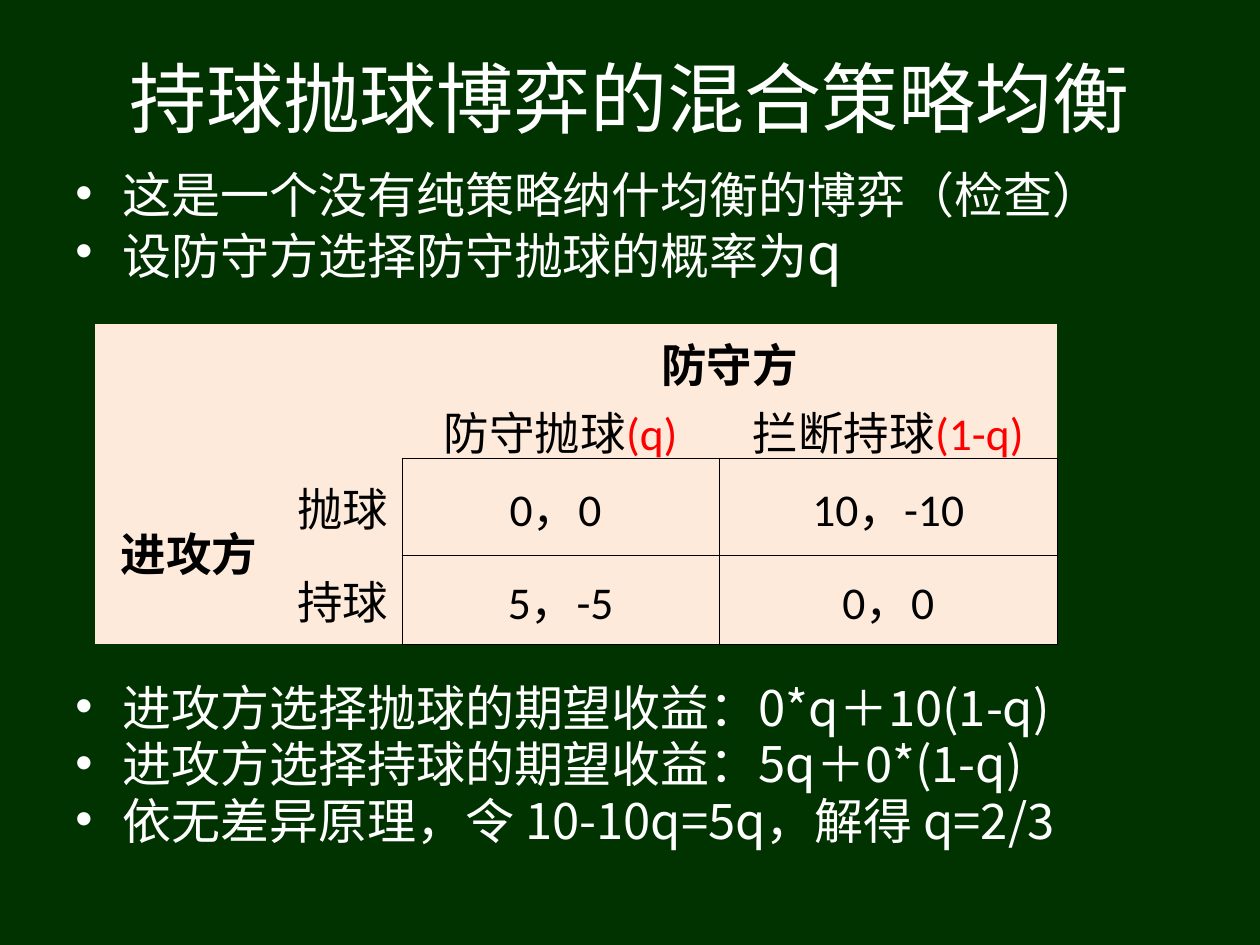
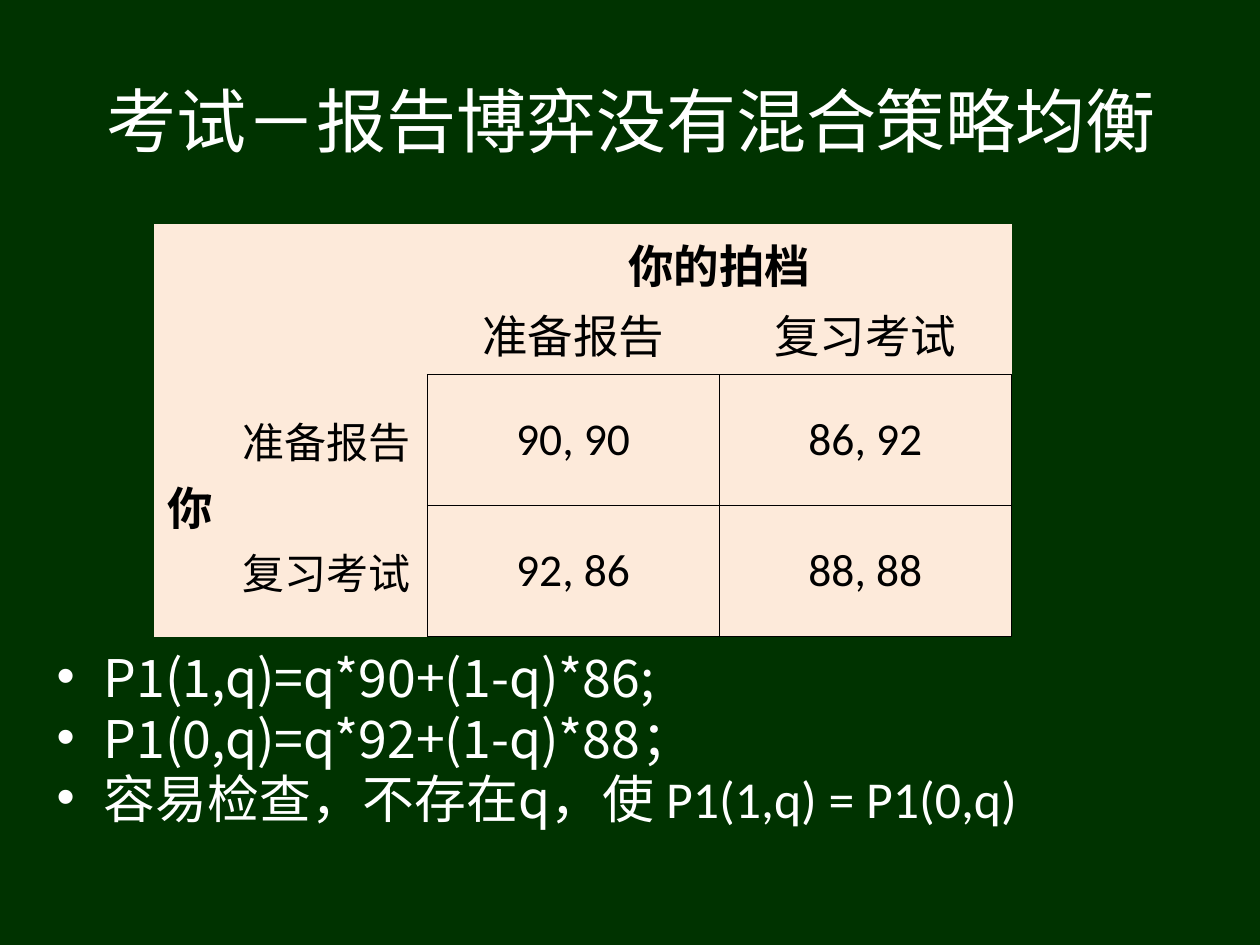
import pptx
import pptx.dml.color
import pptx.enum.text
import pptx.oxml
import pptx.oxml.ns
import pptx.util
from lxml import etree

Pt = pptx.util.Pt
CENTER = pptx.enum.text.PP_ALIGN.CENTER
MIDDLE = pptx.enum.text.MSO_ANCHOR.MIDDLE
CJK_FONT, LATIN_FONT = "Noto Sans CJK SC", "Calibri"
GREEN, WHITE, BLACK, RED, CREAM = "003300", "FFFFFF", "000000", "FF0000", "FDEADA"
PLAIN_TABLE_STYLE = "{2D5ABB26-0587-4C30-8999-92F81FD0307C}"
BULLET_INDENT = 27
BORDER_WIDTH = 0.45

TITLE_FORMAT = {"name": CJK_FONT, "color": WHITE}
BULLET_FORMAT = {"name": CJK_FONT, "color": WHITE}
CELL_FORMAT = {"name": LATIN_FONT, "size": 26, "color": BLACK, "bold": False}

SLIDES = [
    {
        "title": "持球抛球博弈的混合策略均衡",
        "title_box": (36, 21.6, 648, 67),
        "title_size": 44,
        "bullet_lists": [
            {
                "box": (36, 98, 648, 84),
                "size": 28,
                "space": 7,
                "items": [
                    [("这是一个没有纯策略纳什均衡的博弈（检查）", {})],
                    [("设防守方选择防守抛球的概率为", {}), ("q", {"size": 32})],
                ],
            },
            {
                "box": (36, 391.5, 648, 122),
                "size": 28,
                "space": 7,
                "items": [
                    [("进攻方选择抛球的期望收益：0*q＋10(1-q)", {})],
                    [("进攻方选择持球的期望收益：5q＋0*(1-q)", {})],
                    [("依无差异原理，令 10-10q=5q，解得 q=2/3", {})],
                ],
            },
        ],
        "game": {
            "position": (54, 185),
            "columns": (108, 67.7, 181.4, 193),
            "rows": (38.2, 38.2, 55.4, 51.1),
            "column_player": "防守方",
            "row_player": "进攻方",
            "column_moves": [("防守抛球", "(q)"), ("拦断持球", "(1-q)")],
            "row_moves": ["抛球", "持球"],
            "row_move_size": 26,
            "payoffs": [["0，0 ", "10，-10"], ["5，-5", "0，0"]],
        },
    },
    {
        "title": "考试－报告博弈没有混合策略均衡",
        "title_box": (36.7, 31.7, 648, 72.7),
        "title_size": 40,
        "bullet_lists": [
            {
                "box": (25.2, 373.7, 694.8, 136),
                "size": 29.6,
                "space": 8,
                "items": [
                    [("P1(1,q)=q*90+(1-q)*86;", {})],
                    [("P1(0,q)=q*92+(1-q)*88；", {})],
                    [("容易检查，不存在q，使 ", {}),
                     ("P1(1,q) = P1(0,q)", {"name": LATIN_FONT})],
                ],
            },
        ],
        "game": {
            "position": (87.8, 128.2),
            "columns": (41.8, 114.5, 167, 167),
            "rows": (38.2, 47.5, 74.9, 74.9),
            "column_player": "你的拍档",
            "row_player": "你",
            "column_moves": [("准备报告", ""), ("复习考试", "")],
            "row_moves": ["准备报告", "复习考试"],
            "row_move_size": 24,
            "payoffs": [["90, 90", "86, 92"], ["92, 86", "88, 88"]],
        },
    },
]


def color(value):
    return pptx.dml.color.RGBColor.from_string(value)


def add_element(parent, tag, **attributes):
    element = etree.SubElement(parent, pptx.oxml.ns.qn(tag))
    for name, value in attributes.items():
        element.set(name, str(value))
    return element


def add_runs(paragraph, runs, base_format):
    for text, changes in runs:
        run = paragraph.add_run()
        run.text = text
        for name, value in {**base_format, **changes}.items():
            if name == "color":
                run.font.color.rgb = color(value)
            else:
                setattr(run.font, name, Pt(value) if name == "size" else value)
        latin = run.font._element.find(pptx.oxml.ns.qn("a:latin"))
        east_asian = etree.Element(pptx.oxml.ns.qn("a:ea"), typeface=CJK_FONT)
        latin.addnext(east_asian)


def place_title(slide, content):
    title = slide.shapes.title
    for name, value in zip(("left", "top", "width", "height"), content["title_box"]):
        setattr(title, name, Pt(value))
    frame = title.text_frame
    frame.auto_size = pptx.enum.text.MSO_AUTO_SIZE.NONE
    frame.vertical_anchor = MIDDLE
    paragraph = frame.paragraphs[0]
    paragraph.alignment = CENTER
    add_runs(paragraph, [(content["title"], {"size": content["title_size"]})], TITLE_FORMAT)


def add_bullets(slide, bullet_list):
    shape = slide.shapes.add_textbox(*map(Pt, bullet_list["box"]))
    frame = shape.text_frame
    frame.word_wrap = True
    for index, runs in enumerate(bullet_list["items"]):
        paragraph = frame.add_paragraph() if index else frame.paragraphs[0]
        paragraph.line_spacing = 0.75
        paragraph.space_before = Pt(bullet_list["space"] if index else 0)
        properties = paragraph._p.get_or_add_pPr()
        properties.set("marL", str(Pt(BULLET_INDENT)))
        properties.set("indent", str(-Pt(BULLET_INDENT)))
        add_element(add_element(properties, "a:buClr"), "a:srgbClr", val=WHITE)
        add_element(properties, "a:buFont", typeface="Arial")
        add_element(properties, "a:buChar", char="•")
        add_runs(paragraph, runs, {**BULLET_FORMAT, "size": bullet_list["size"]})


def border_sides(row, column):
    if row >= 2 and column >= 2:
        return "LRTB"
    if row == 1 and column >= 2:
        return "B"
    if row >= 2 and column == 1:
        return "R"
    return ""


def game_texts(game):
    texts = {
        (0, 2): [(game["column_player"], {"bold": True})],
        (2, 0): [(game["row_player"], {"bold": True})],
    }
    for index, (move, probability) in enumerate(game["column_moves"]):
        texts[1, 2 + index] = [(move, {})]
        if probability:
            texts[1, 2 + index].append((probability, {"color": RED}))
    for row, move in enumerate(game["row_moves"], 2):
        texts[row, 1] = [(move, {"size": game["row_move_size"]})]
        for column, payoff in enumerate(game["payoffs"][row - 2], 2):
            texts[row, column] = [(payoff, {})]
    return texts


def add_game(slide, game):
    columns, rows = game["columns"], game["rows"]
    box = (*game["position"], sum(columns), sum(rows))
    shape = slide.shapes.add_table(len(rows), len(columns), *map(Pt, box))
    table = shape.table
    table.first_row = table.horz_banding = False
    table._tbl.tblPr.find(pptx.oxml.ns.qn("a:tableStyleId")).text = PLAIN_TABLE_STYLE
    for column, width in zip(table.columns, columns):
        column.width = Pt(width)
    for row, height in zip(table.rows, rows):
        row.height = Pt(height)
    table.cell(0, 2).merge(table.cell(0, 3))
    table.cell(2, 0).merge(table.cell(3, 0))
    texts = game_texts(game)
    for row in range(len(rows)):
        for column in range(len(columns)):
            cell = table.cell(row, column)
            cell.vertical_anchor = MIDDLE
            properties = cell._tc.get_or_add_tcPr()
            for side in border_sides(row, column):
                line = add_element(properties, f"a:ln{side}", w=Pt(BORDER_WIDTH))
                add_element(add_element(line, "a:solidFill"), "a:srgbClr", val=BLACK)
            cell.fill.solid()
            cell.fill.fore_color.rgb = color(CREAM)
            paragraph = cell.text_frame.paragraphs[0]
            paragraph.alignment = CENTER
            add_runs(paragraph, texts.get((row, column), []), CELL_FORMAT)


def main():
    presentation = pptx.Presentation()
    presentation.slide_width, presentation.slide_height = Pt(720), Pt(540)
    background = presentation.slide_master.background.fill
    background.solid()
    background.fore_color.rgb = color(GREEN)
    for content in SLIDES:
        slide = presentation.slides.add_slide(presentation.slide_layouts[5])
        place_title(slide, content)
        for bullet_list in content["bullet_lists"]:
            add_bullets(slide, bullet_list)
        add_game(slide, content["game"])
    presentation.save("out.pptx")


if __name__ == "__main__":
    main()
